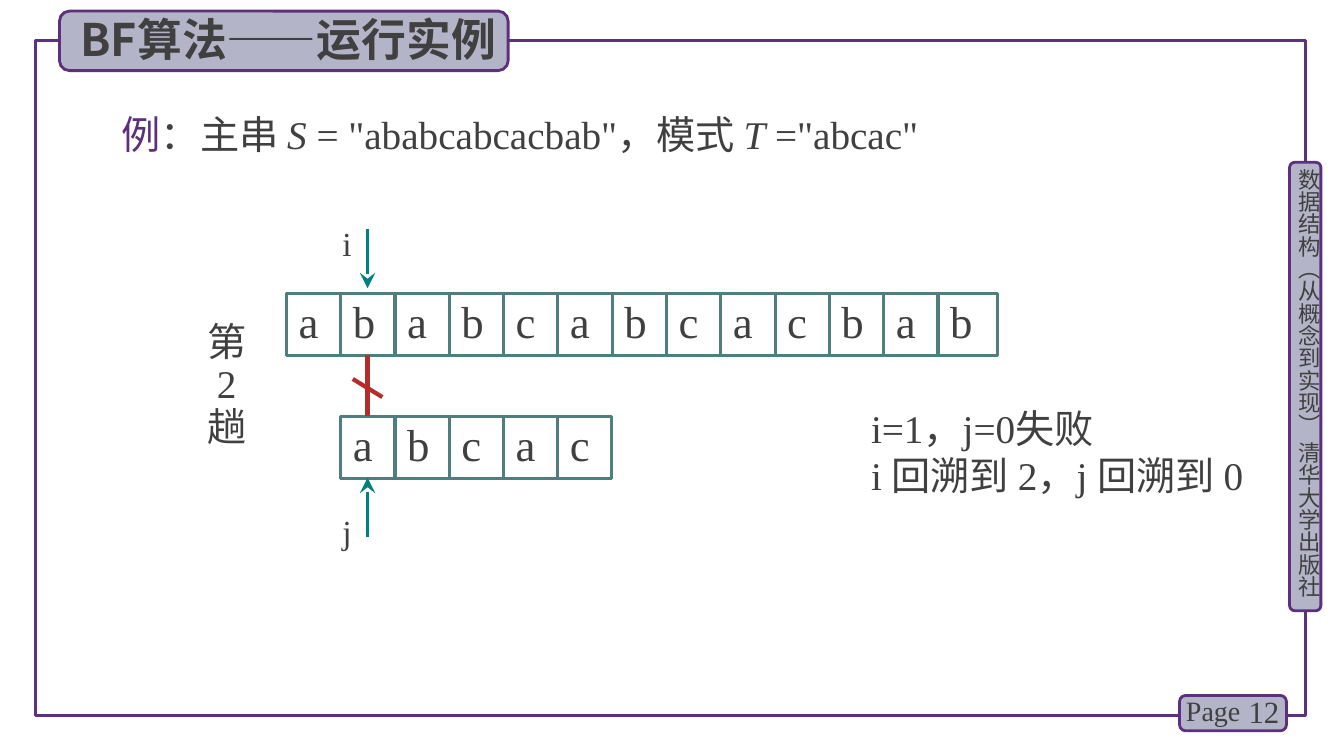
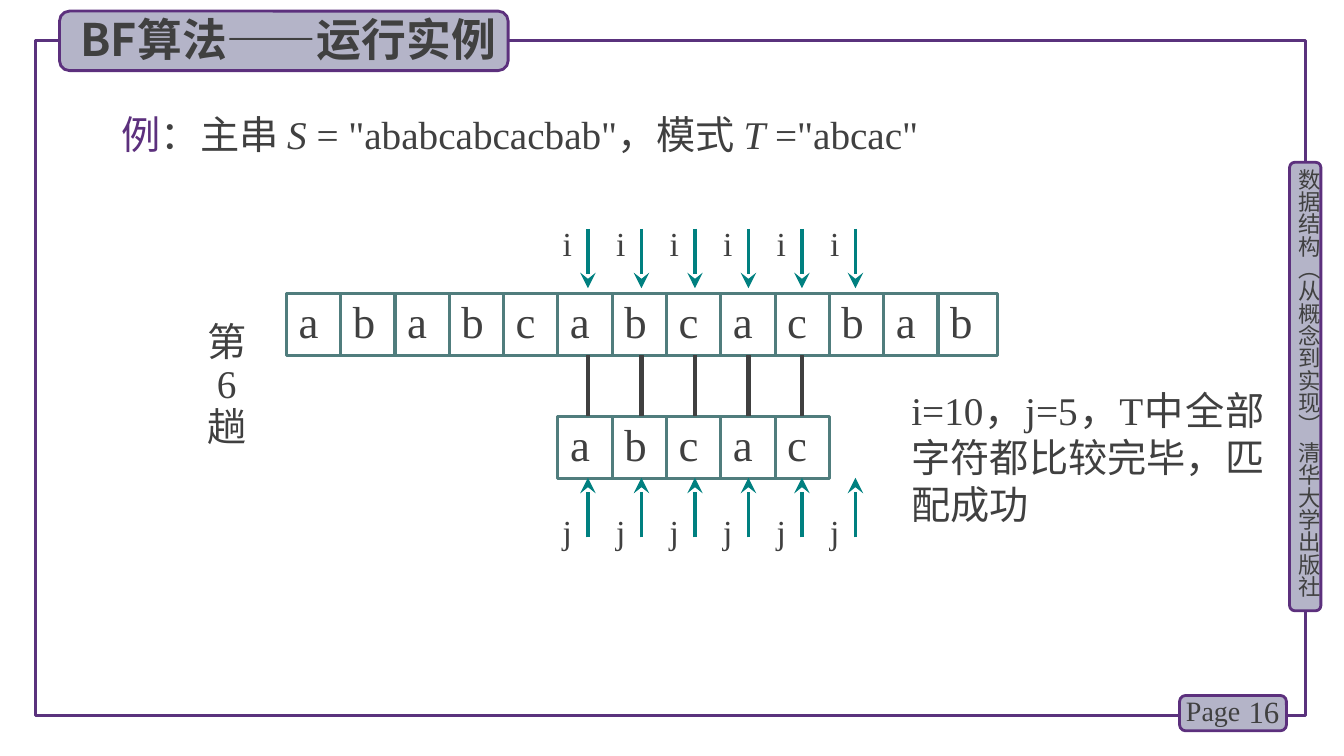
from lxml import etree
from pptx import Presentation, util as u
from pptx.dml.color import RGBColor
from pptx.enum import shapes, text
from pptx.oxml.ns import qn

INK = RGBColor(0x40, 0x40, 0x40)
PLUM = RGBColor(0x5C, 0x30, 0x7D)
EDGE = RGBColor(0x5A, 0x32, 0x7D)
MIST = RGBColor(0xB4, 0xB4, 0xC8)
SAGE = RGBColor(0x50, 0x7D, 0x7D)
TEAL = RGBColor(0x00, 0x80, 0x80)
RED = RGBColor(0xB4, 0x2D, 0x2D)
SERIF, SANS = "Times New Roman", "Noto Sans CJK SC"
RECT, PILL = shapes.MSO_SHAPE.RECTANGLE, shapes.MSO_SHAPE.ROUNDED_RECTANGLE
LEFT, MID, RIGHT, JUST = (text.PP_ALIGN.LEFT, text.PP_ALIGN.CENTER,
                          text.PP_ALIGN.RIGHT, text.PP_ALIGN.JUSTIFY)

prs = Presentation()
prs.slide_width, prs.slide_height = u.Inches(13.33), u.Inches(7.5)
W, H = prs.slide_width / 100, prs.slide_height / 100


def box(sld, at, paras=(), form=None, fill=None, line=None, size=28, font=SERIF,
        bold=False, align=LEFT, pad=(0.1, 0.05), mid=False, vert=None, gap=None,
        tabs=()):
    """Place a shape or text box; at and tabs are in percent of the slide,
    paras a list of lists of (words, font values)."""
    x, y, w, h = at
    area = [int(v) for v in (x * W, y * H, w * W, h * H)]
    if form is None:
        shp = sld.shapes.add_textbox(*area)
    else:
        shp = sld.shapes.add_shape(form, *area)
        shp.shadow.inherit = False
        shp.line.color.rgb, shp.line.width = line[0], u.Pt(line[1])
        if fill is None:
            shp.fill.background()
        else:
            shp.fill.solid()
            shp.fill.fore_color.rgb = fill
    frame = shp.text_frame
    frame.word_wrap = True
    frame.vertical_anchor = text.MSO_ANCHOR.MIDDLE if mid else text.MSO_ANCHOR.TOP
    for side, inch in zip(("left", "right", "top", "bottom"),
                          (pad[0], pad[0], pad[1], pad[1])):
        setattr(frame, "margin_" + side, u.Inches(inch))
    if vert:
        frame._txBody.bodyPr.set("vert", vert)
    for n, runs in enumerate(paras):
        para = frame.add_paragraph() if n else frame.paragraphs[0]
        para.alignment, para.line_spacing = align, gap
        if tabs:
            stops = etree.SubElement(para._p.get_or_add_pPr(), qn("a:tabLst"))
            for pos in tabs:
                etree.SubElement(stops, qn("a:tab"), pos=str(int(pos * W)), algn="l")
        for words, extra in runs:
            run = para.add_run()
            run.text = words
            look = {"size": u.Pt(size), "name": font, "bold": bold} | extra
            run.font.color.rgb = look.pop("tint", INK)
            for key, val in look.items():
                setattr(run.font, key, val)
            etree.SubElement(run.font._element, qn("a:ea")).set("typeface", SANS)


def rule(sld, x1, y1, x2, y2, tint, width, head=False):
    """Draw a straight line in percent of the slide, with an arrowhead if asked."""
    con = sld.shapes.add_connector(shapes.MSO_CONNECTOR.STRAIGHT, int(x1 * W),
                                   int(y1 * H), int(x2 * W), int(y2 * H))
    con.line.color.rgb, con.line.width = tint, u.Pt(width)
    if head:
        etree.SubElement(con.line._get_or_add_ln(), qn("a:tailEnd"),
                         type="stealth", w="lg", len="lg")
    etree.SubElement(con._element.spPr, qn("a:effectLst"))


# Diagram grid, in percent of the slide
COL, STEP, HOP = 21.31, 4.04, 3.98
TOP, LOW, TALL = 38.8, 55.07, 8.2
MAIN, PAT = "ababcabcacbab", "abcac"
BAND = {"form": PILL, "fill": MIST, "line": (PLUM, 2)}
SLANT = {"italic": True}

pages = [
    {"page": "12", "turn": "2", "start": 1, "mark": 27.35, "marks": 1, "hits": 0,
     "at": (64.07, 52.8, 30.98, 13.87),
     "note": ["i=1，j=0失败", "i 回溯到 2，j 回溯到 0"]},
    {"page": "16", "turn": "6", "start": 5, "mark": 43.75, "marks": 6, "hits": 5,
     "at": (67.07, 50.4, 27.76, 20),
     "note": ["i=10，j=5，T中全部字符都比较完毕，匹配成功"]},
]

for pg in pages:
    sld = prs.slides.add_slide(prs.slide_layouts[6])

    # Frame, side band, page number and title
    box(sld, (2.63, 5.33, 94.52, 89.27), form=RECT, line=(EDGE, 2.25))
    box(sld, (95.95, 21.47, 2.33, 59.33), **BAND)
    box(sld, (96.35, 22.27, 2.03, 59.87),
        [[("数据结构（从概念到实现） 清华大学出版社", {})]],
        size=16, font=SANS, pad=(0, 0), vert="eaVert")
    box(sld, (87.77, 92, 7.95, 4.67), **BAND)
    box(sld, (91.5, 91.47, 4.43, 5.33), [[(pg["page"], {})]],
        size=22, align=RIGHT, mid=True)
    box(sld, (87.5, 91.07, 5.85, 5.87), [[("Page", {})]], size=20)
    box(sld, (4.43, 1.47, 33.38, 7.87), **BAND)
    box(sld, (5.25, 0.93, 34.51, 8.53), [[("BF算法——运行实例", {})]],
        size=32, font=SANS, bold=True)

    # Example line, round label and remark
    box(sld, (8.33, 14, 66.92, 7.6), [[
        ("例", {"tint": PLUM}), ("：主串 ", {}), ("S", SLANT),
        (' = "ababcabcacbab"，模式 ', {}), ("T", SLANT), (' ="abcac"', {})]], align=JUST)
    box(sld, (14.62, 42, 4.5, 18.13), [[(s, {})] for s in ("第", pg["turn"], "趟")],
        align=MID, pad=(0, 0.05), gap=0.9)
    box(sld, pg["at"], [[(s, {})] for s in pg["note"]], align=JUST)

    # Main string above, pattern below
    for word, first, y, wide in ((MAIN, 0, TOP, 52.9), (PAT, pg["start"], LOW, 20.18)):
        left = COL + first * STEP
        edges = [n * STEP for n in range(1, len(word))]
        box(sld, (left, y, wide, TALL), [[("\t".join(word), {})]], form=RECT,
            line=(SAGE, 2.25), size=32, pad=(0.12, 0), tabs=edges)
        for x in edges:
            rule(sld, left + x, y, left + x, y + TALL, SAGE, 2.25)

    # Index arrows and comparisons
    mark = pg["mark"]
    for n in range(pg["marks"]):
        x = mark + n * HOP
        for name, y, tail, tip in (("i", 28.8, 30.27, 38.13),
                                   ("j", 66.93, 71.07, 63.2)):
            rule(sld, x, tail, x, tip, TEAL, 2.25, head=True)
            box(sld, (x - 1.88, y, 1.88, 6.67), [[(name, {})]], size=24, pad=(0, 0.05))
        if n < pg["hits"]:
            rule(sld, x, TOP + TALL, x, LOW, INK, 3)
    if not pg["hits"]:
        rule(sld, mark, TOP + TALL, mark, LOW, RED, 3)
        rule(sld, mark - 1.1, 50.13, mark + 1.1, 52.53, RED, 3)

prs.save("out.pptx")
